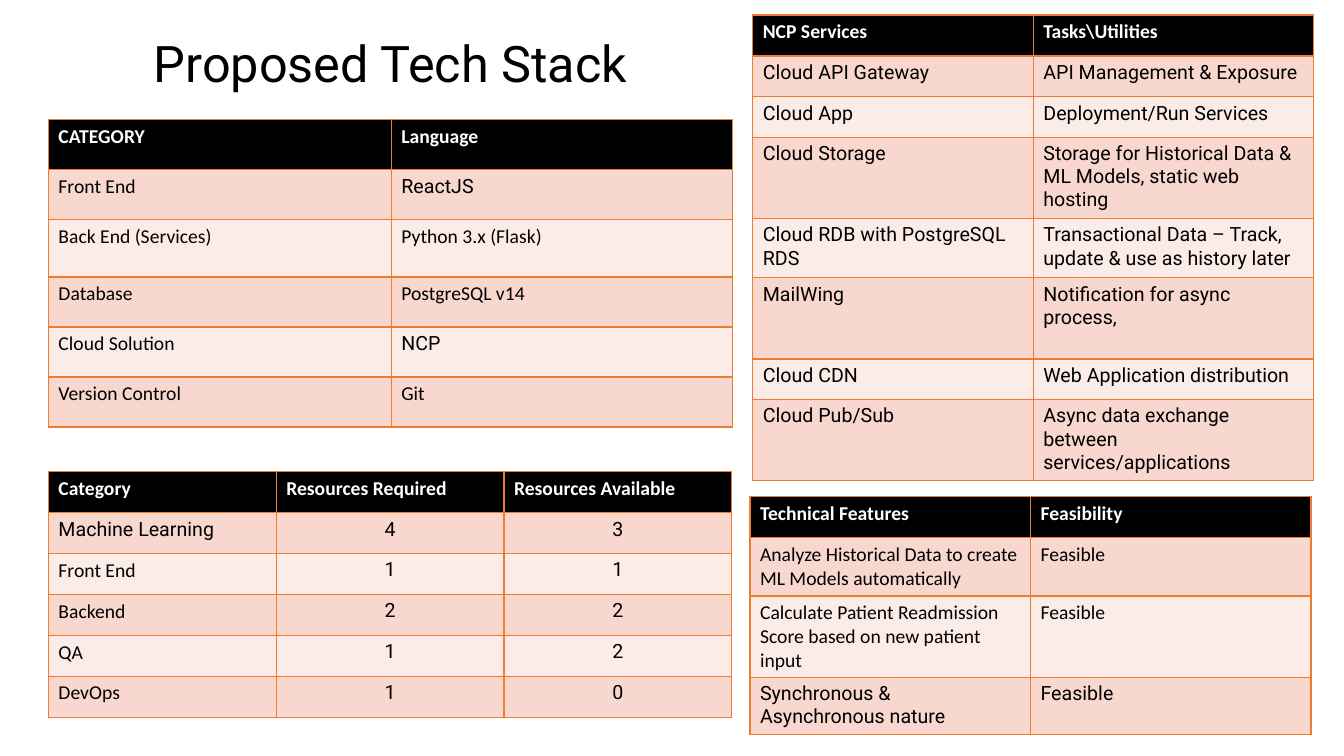
from itertools import product

from lxml import etree
from pptx import Presentation
from pptx.dml.color import RGBColor
from pptx.enum.text import MSO_ANCHOR, MSO_AUTO_SIZE, PP_ALIGN
from pptx.oxml.ns import qn
from pptx.util import Cm, Pt

CENTER = PP_ALIGN.CENTER
LEFT = PP_ALIGN.LEFT
TOP = MSO_ANCHOR.TOP
GROW = MSO_AUTO_SIZE.SHAPE_TO_FIT_TEXT
TITLE_ONLY = 5

COLORS = {
    "header": "000000",
    "header_text": "FFFFFF",
    "text": "000000",
    "odd_row": "F8D7CE",
    "even_row": "FCECE8",
    "border": "ED7D31",
}
TABLE_FONT = "Calibri"
ACCENT_FONT = "Roboto"

STACK = [
    ("CATEGORY", "Language"),
    ("Front End", "ReactJS"),
    ("Back End (Services)", "Python 3.x (Flask)"),
    ("Database", "PostgreSQL v14"),
    ("Cloud Solution", "NCP"),
    ("Version Control", "Git"),
]
FEATURES = [
    ("Technical Features", "Feasibility"),
    ("Analyze Historical Data to create ML Models automatically", "Feasible"),
    ("Calculate Patient Readmission Score based on new patient input", "Feasible"),
    ("Synchronous & Asynchronous nature", "Feasible"),
]
RESOURCES = [
    ("Category", "Resources Required", "Resources Available"),
    ("Machine Learning", "4", "3"),
    ("Front End", "1", "1"),
    ("Backend", "2", "2"),
    ("QA", "1", "2"),
    ("DevOps", "1", "0"),
]
SERVICES = [
    ("NCP Services", "Tasks\\Utilities"),
    ("Cloud API Gateway", "API Management & Exposure"),
    ("Cloud App", "Deployment/Run Services"),
    ("Cloud Storage", "Storage for Historical Data & ML Models, static web hosting"),
    ("Cloud RDB with PostgreSQL RDS", "Transactional Data – Track, update & use as history later"),
    ("MailWing", "Notification for async process,"),
    ("Cloud CDN", "Web Application distribution"),
    ("Cloud Pub/Sub", "Async data exchange between services/applications"),
]


class TechStackSlide:
    def __init__(self, deck):
        self.slide = deck.slides.add_slide(deck.slide_layouts[TITLE_ONLY])

    def add_text(self, paragraph, text, font, size, color, bold=False, align=LEFT):
        paragraph.alignment = align
        run = paragraph.add_run()
        run.text = text
        run.font.name = font
        run.font.size = Pt(size)
        run.font.bold = bold
        run.font.color.rgb = RGBColor.from_string(COLORS[color])

    def add_title(self, text, left, top, width, height):
        heading = self.slide.shapes.title
        heading.left, heading.top = Cm(left), Cm(top)
        heading.width, heading.height = Cm(width), Cm(height)
        frame = heading.text_frame
        frame.word_wrap = False
        frame.auto_size = GROW
        frame.vertical_anchor = TOP
        self.add_text(frame.paragraphs[0], text, ACCENT_FONT, 36, "text", align=CENTER)

    def add_border(self, cell):
        properties = cell._tc.get_or_add_tcPr()
        for side in ("a:lnL", "a:lnR", "a:lnT", "a:lnB"):
            line = etree.SubElement(properties, qn(side), w=str(Pt(1)))
            fill = etree.SubElement(line, qn("a:solidFill"))
            etree.SubElement(fill, qn("a:srgbClr"), val=COLORS["border"])

    def add_table(self, rows, left, top, widths, heights, accented=(), centered=()):
        frame = self.slide.shapes.add_table(
            len(rows), len(widths), Cm(left), Cm(top), Cm(sum(widths)), Cm(sum(heights)))
        grid = frame.table
        grid.horz_banding = False
        for column, width in zip(grid.columns, widths):
            column.width = Cm(width)
        for row, height in zip(grid.rows, heights):
            row.height = Cm(height)
        for place in product(range(len(rows)), range(len(widths))):
            row, column = place
            is_header = row == 0
            band = "header" if is_header else "odd_row" if row % 2 else "even_row"
            cell = grid.cell(row, column)
            self.add_border(cell)
            cell.fill.solid()
            cell.fill.fore_color.rgb = RGBColor.from_string(COLORS[band])
            self.add_text(
                cell.text_frame.paragraphs[0], rows[row][column],
                ACCENT_FONT if place in accented else TABLE_FONT, 14,
                "header_text" if is_header else "text", is_header,
                CENTER if place in centered else LEFT)


def main():
    deck = Presentation()
    deck.slide_width, deck.slide_height = Cm(33.87), Cm(19.05)
    page = TechStackSlide(deck)
    page.add_title("Proposed Tech Stack", 3.51, 0.69, 12.67, 1.8)
    page.add_table(STACK, 1.22, 3.02, [8.64, 8.59],
                   [1.26, 1.26, 1.44, 1.26, 1.26, 1.26], accented={(1, 1), (4, 1)})
    page.add_table(FEATURES, 18.9, 12.52, [7.07] * 2, [1.03, 1.47, 2.05, 1.44],
                   accented={(3, 0), (3, 1)})
    counts = set(product(range(1, len(RESOURCES)), (1, 2)))
    page.add_table(RESOURCES, 1.22, 11.89, [5.74] * 3, [1.03] * len(RESOURCES),
                   accented=counts | {(1, 0)}, centered=counts)
    page.add_table(SERVICES, 18.97, 0.38, [7.07] * 2,
                   [1.03, 1.03, 1.02, 2.05, 1.49, 2.05, 1.02, 2.05],
                   accented=set(product(range(1, len(SERVICES)), (0, 1))))
    deck.save("out.pptx")


if __name__ == "__main__":
    main()
